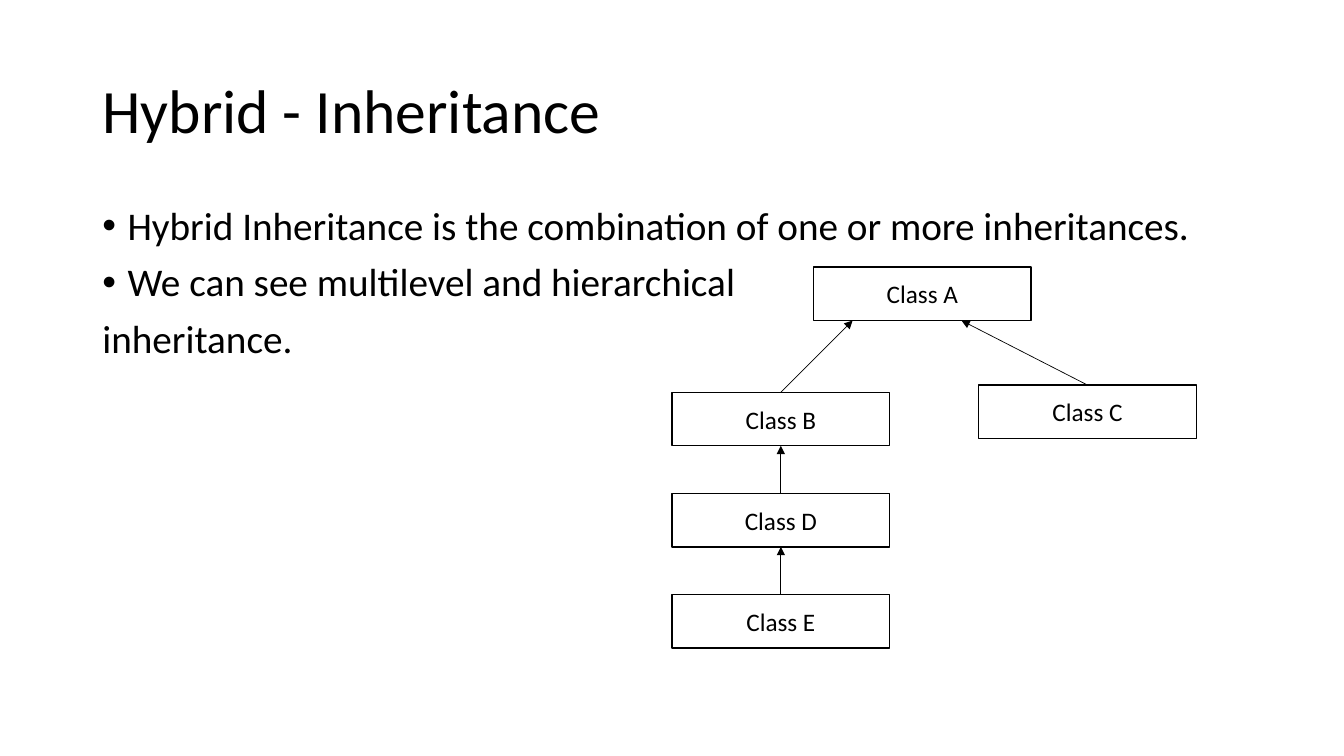
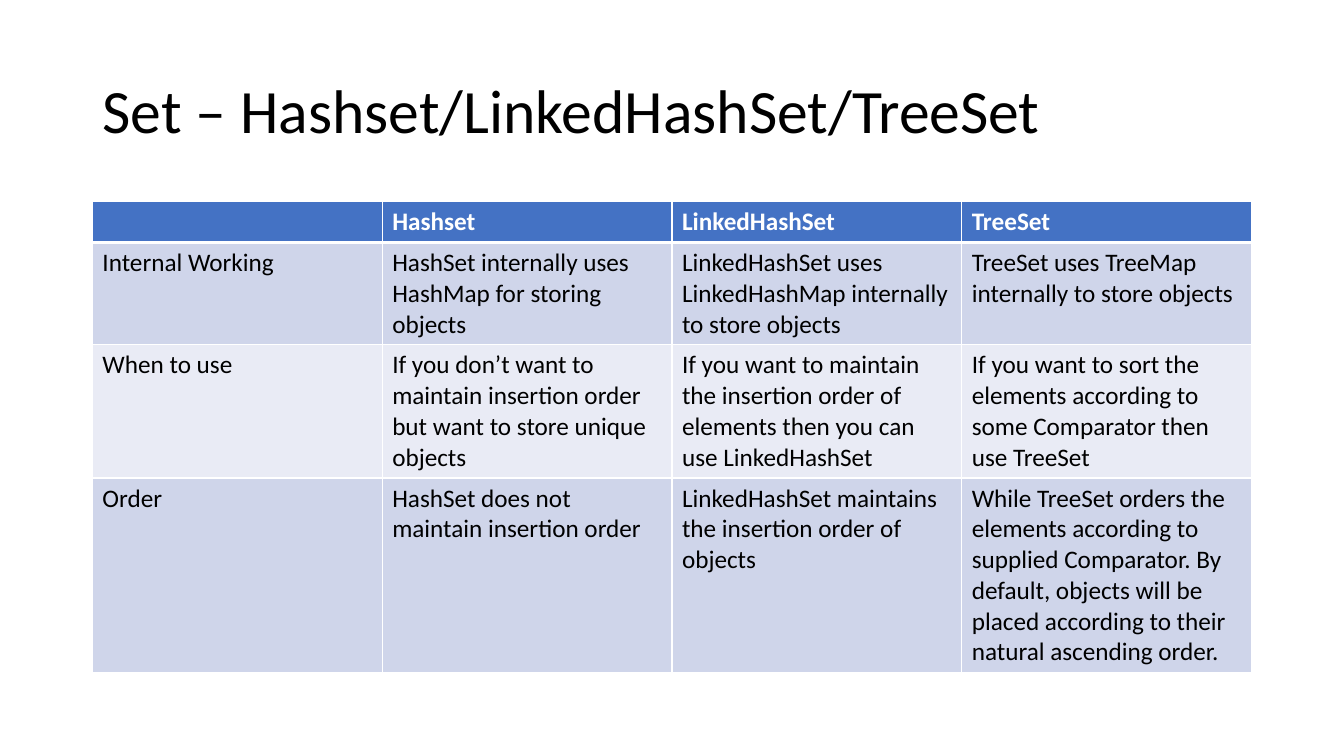
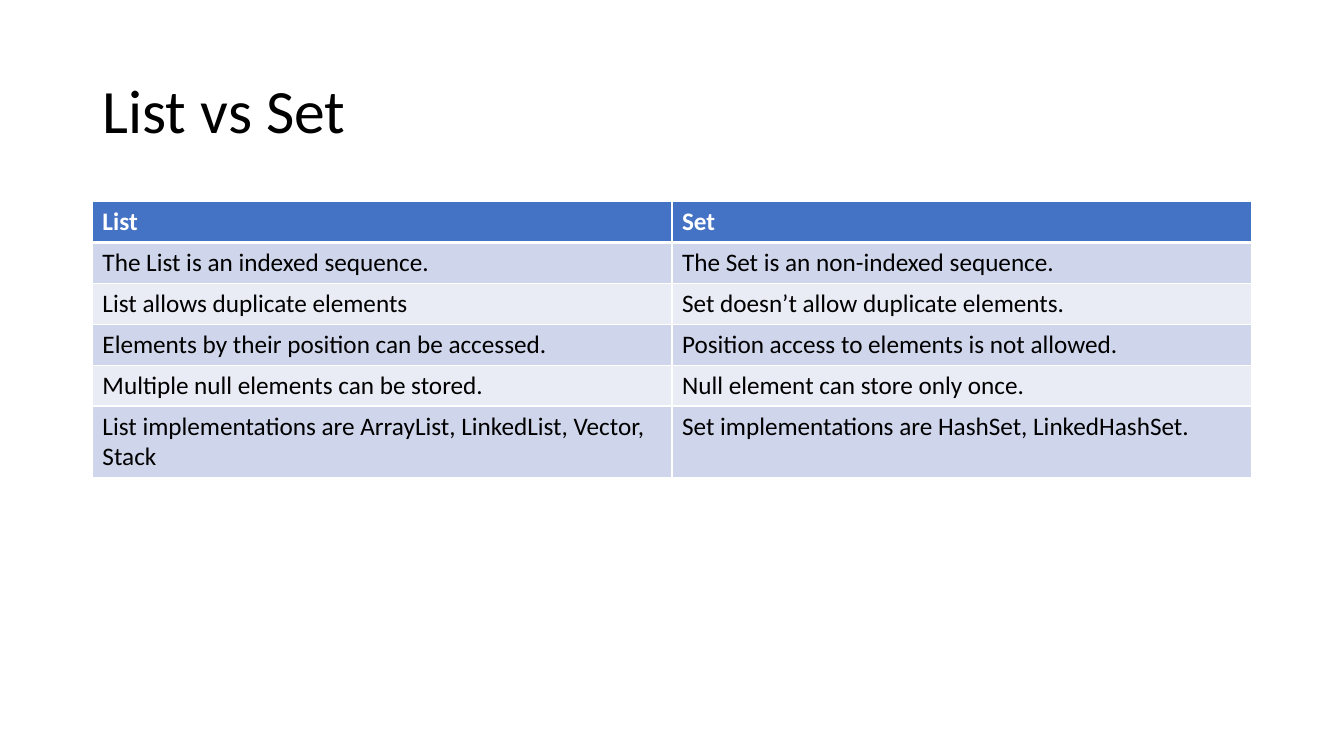
import pptx
import pptx.util
import pptx.dml.color
import pptx.enum.shapes
import pptx.enum.text
import pptx.oxml.ns
from lxml import etree

COLUMNS, ROWS = 160, 90
MARGIN, CONTENT_WIDTH, CONTENT_TOP = 11, 138, 24
TABLE_ROW = 4.87
BLACK, WHITE = "000000", "FFFFFF"
HEADER, BANDS = "4472C4", ("CFD5EA", "E9EBF5")


def color(value):
    return pptx.dml.color.RGBColor.from_string(value)


def add_xml(parent, tag, **attributes):
    return etree.SubElement(parent, pptx.oxml.ns.qn(tag), attributes)


class Deck:
    def __init__(self):
        self.presentation = pptx.Presentation()
        self.presentation.slide_width = pptx.util.Inches(13.33)
        self.presentation.slide_height = pptx.util.Inches(7.5)
        self.slide = None

    def x(self, columns):
        return round(self.presentation.slide_width * columns / COLUMNS)

    def y(self, rows):
        return round(self.presentation.slide_height * rows / ROWS)

    def area(self, left, top, width, height):
        return self.x(left), self.y(top), self.x(width), self.y(height)

    def style(self, paragraph, size, ink=BLACK, bold=False):
        for run in paragraph.runs:
            run.font.name = "Calibri"
            run.font.size = pptx.util.Pt(size)
            run.font.bold = bold
            run.font.color.rgb = color(ink)

    def start(self, heading):
        self.slide = self.presentation.slides.add_slide(self.presentation.slide_layouts[5])
        title = self.slide.shapes.title
        title.left, title.top, title.width, title.height = self.area(
            MARGIN, 4.8, CONTENT_WIDTH, 17.4)
        frame = title.text_frame
        frame.text = heading
        frame.word_wrap = True
        frame.auto_size = pptx.enum.text.MSO_AUTO_SIZE.NONE
        frame.vertical_anchor = pptx.enum.text.MSO_ANCHOR.MIDDLE
        paragraph = frame.paragraphs[0]
        paragraph.alignment = pptx.enum.text.PP_ALIGN.LEFT
        paragraph.line_spacing = 0.9
        self.style(paragraph, 44)

    def body(self, lines):
        frame = self.slide.shapes.add_textbox(
            *self.area(MARGIN, CONTENT_TOP, CONTENT_WIDTH, 57.1)).text_frame
        frame.word_wrap = True
        frame.text = "\n".join(text for text, _ in lines)
        for index, (paragraph, (_, bulleted)) in enumerate(zip(frame.paragraphs, lines)):
            if bulleted:
                properties = paragraph._p.get_or_add_pPr()
                indent = pptx.util.Inches(0.25)
                properties.set("marL", str(indent))
                properties.set("indent", str(-indent))
                add_xml(properties, "a:buFont", typeface="Arial")
                add_xml(properties, "a:buChar", char="•")
            paragraph.line_spacing = 0.9
            if index:
                paragraph.space_before = pptx.util.Pt(10)
            self.style(paragraph, 28)

    def box(self, label, left, top):
        box = self.slide.shapes.add_shape(
            pptx.enum.shapes.MSO_SHAPE.RECTANGLE, *self.area(left, top, 25.92, 6.36))
        box.shadow.inherit = False
        box.fill.solid()
        box.fill.fore_color.rgb = color(WHITE)
        box.line.color.rgb = color(BLACK)
        box.line.width = pptx.util.Pt(1)
        frame = box.text_frame
        frame.text = label
        frame.vertical_anchor = pptx.enum.text.MSO_ANCHOR.MIDDLE
        frame.paragraphs[0].alignment = pptx.enum.text.PP_ALIGN.CENTER
        self.style(frame.paragraphs[0], 18)
        return box

    def arrow(self, child, parent, share=0.5):
        arrow = self.slide.shapes.add_connector(
            pptx.enum.shapes.MSO_CONNECTOR.STRAIGHT,
            child.left + child.width // 2, child.top,
            parent.left + round(parent.width * share), parent.top + parent.height)
        arrow.begin_connect(child, 0)
        if share == 0.5:
            arrow.end_connect(parent, 2)
        arrow.line.color.rgb = color(BLACK)
        arrow.line.width = pptx.util.Pt(0.5)
        add_xml(arrow.line._get_or_add_ln(), "a:tailEnd", type="triangle")
        add_xml(arrow._element.spPr, "a:effectLst")

    def cell(self, cell, text, fill, ink, bold, borders):
        properties = cell._tc.get_or_add_tcPr()
        for side, width in zip("LRTB", borders):
            border = add_xml(properties, "a:ln" + side, w=str(pptx.util.Pt(width)))
            add_xml(add_xml(border, "a:solidFill"), "a:srgbClr", val=WHITE)
        cell.fill.solid()
        cell.fill.fore_color.rgb = color(fill)
        cell.text_frame.text = text
        self.style(cell.text_frame.paragraphs[0], 18, ink, bold)

    def table(self, records):
        table = self.slide.shapes.add_table(
            len(records), len(records[0]),
            *self.area(MARGIN, CONTENT_TOP, CONTENT_WIDTH, TABLE_ROW * len(records))).table
        table.horz_banding = False
        for index, record in enumerate(records):
            header = index == 0
            fill = HEADER if header else BANDS[(index - 1) % 2]
            borders = (1, 1, 3 if index == 1 else 1, 3 if header else 1)
            for column, text in enumerate(record):
                self.cell(table.cell(index, column), text, fill,
                          WHITE if header else BLACK, header, borders)


def main():
    deck = Deck()

    deck.start("Hybrid - Inheritance")
    deck.body([
        ("Hybrid Inheritance is the combination of one or more inheritances.", True),
        ("We can see multilevel and hierarchical", True),
        ("inheritance.", False),
    ])
    class_a = deck.box("Class A", 96.84, 31.8)
    class_b, class_d, class_e = [
        deck.box(label, 80, 46.7 + 12.05 * level)
        for level, label in enumerate(("Class B", "Class D", "Class E"))]
    class_c = deck.box("Class C", 116.5, 45.84)
    deck.arrow(class_b, class_a, 0.18)
    deck.arrow(class_c, class_a, 0.68)
    deck.arrow(class_d, class_b)
    deck.arrow(class_e, class_d)

    deck.start("Set – Hashset/LinkedHashSet/TreeSet")
    deck.table([
        ("", "Hashset", "LinkedHashSet", "TreeSet"),
        ("Internal Working",
         "HashSet internally uses HashMap for storing objects",
         "LinkedHashSet uses LinkedHashMap internally to store objects",
         "TreeSet uses TreeMap internally to store objects"),
        ("When to use",
         "If you don’t want to maintain insertion order but want to store unique objects",
         "If you want to maintain the insertion order of elements then you can use LinkedHashSet",
         "If you want to sort the elements according to some Comparator then use TreeSet"),
        ("Order",
         "HashSet does not maintain insertion order",
         "LinkedHashSet maintains the insertion order of objects",
         "While TreeSet orders the elements according to supplied Comparator. "
         "By default, objects will be placed according to their natural ascending order."),
    ])

    deck.start("List vs Set")
    deck.table([
        ("List", "Set"),
        ("The List is an indexed sequence.", "The Set is an non-indexed sequence."),
        ("List allows duplicate elements", "Set doesn’t allow duplicate elements."),
        ("Elements by their position can be accessed.",
         "Position access to elements is not allowed."),
        ("Multiple null elements can be stored.", "Null element can store only once."),
        ("List implementations are ArrayList, LinkedList, Vector, Stack",
         "Set implementations are HashSet, LinkedHashSet."),
    ])

    deck.presentation.save("out.pptx")


if __name__ == "__main__":
    main()
